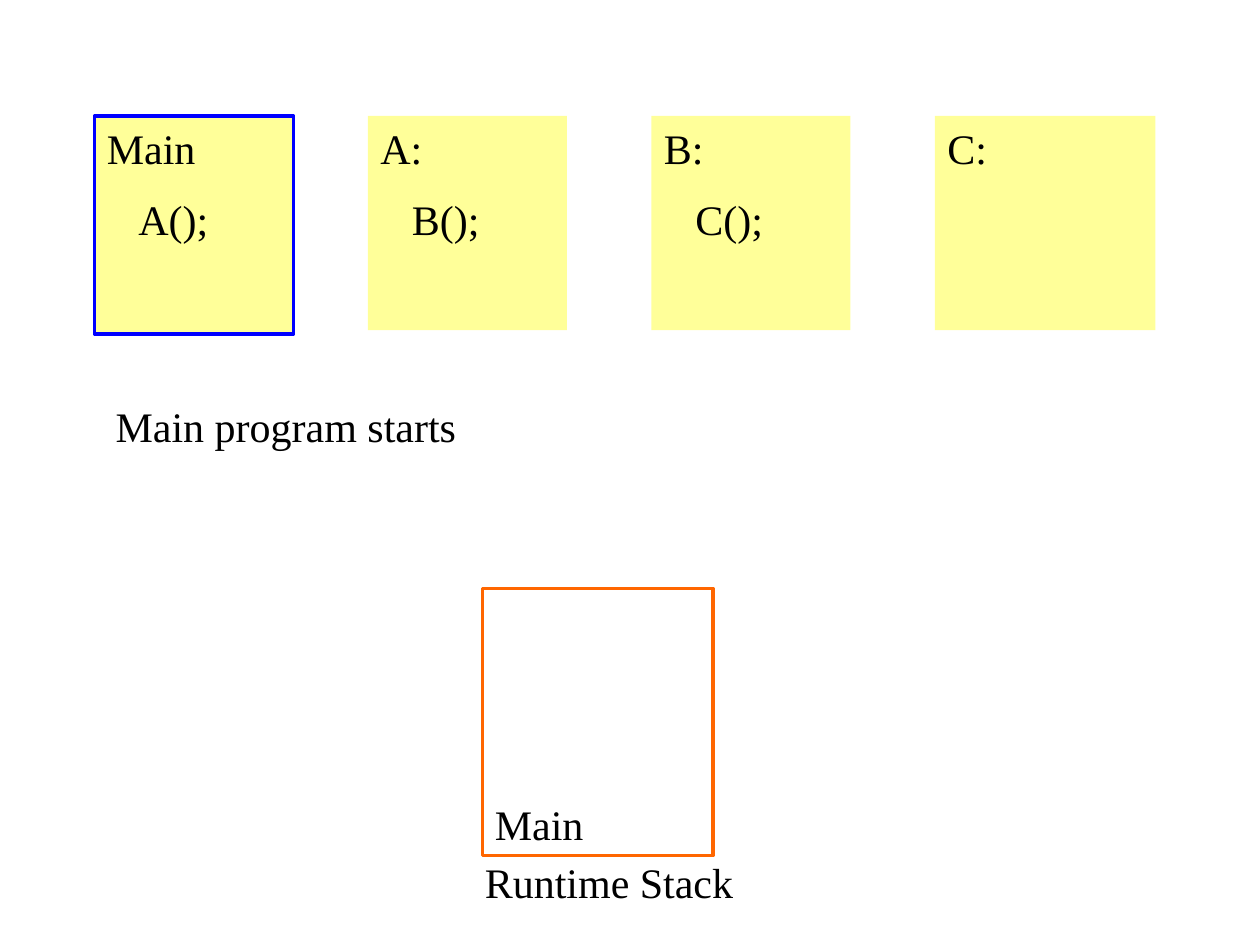
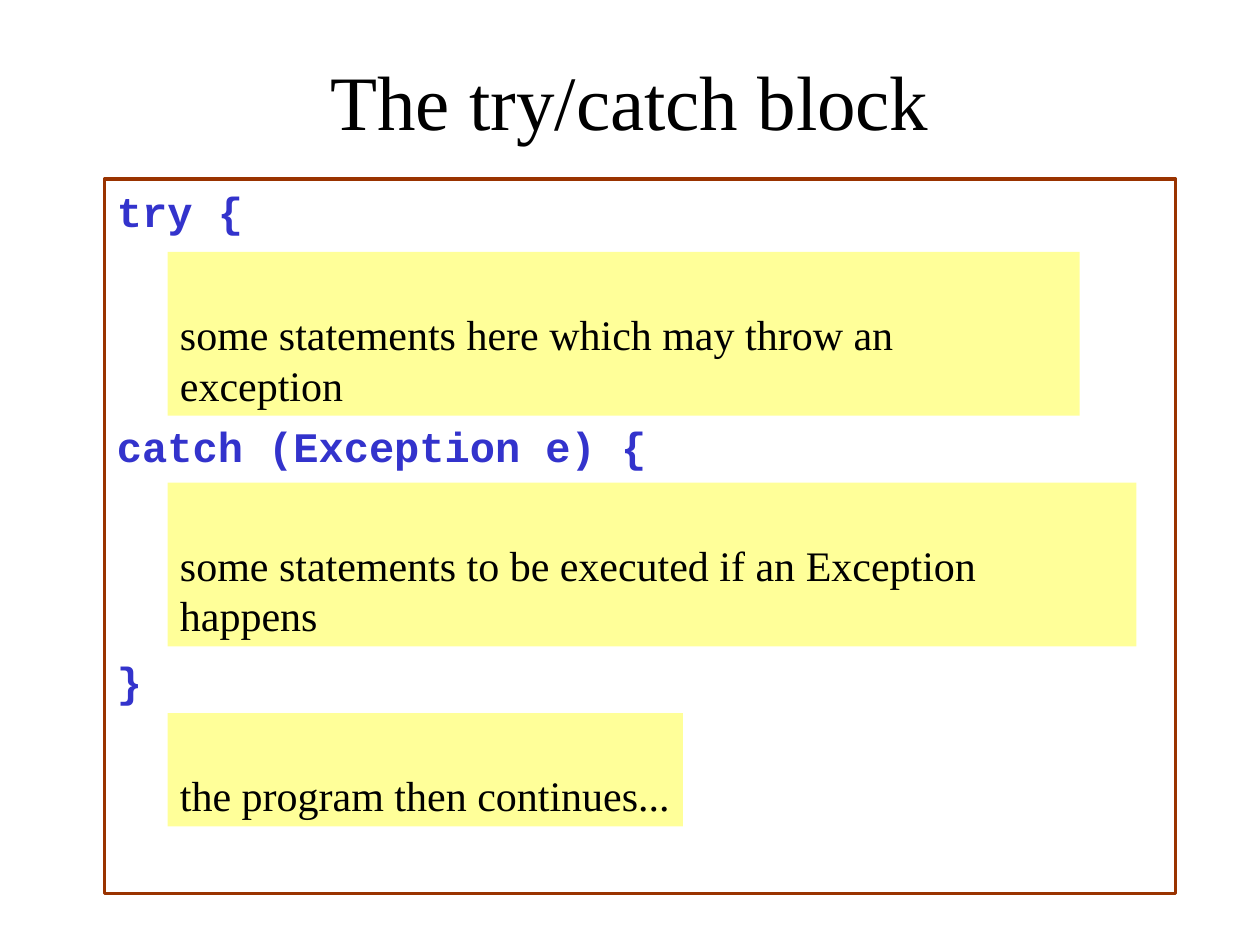
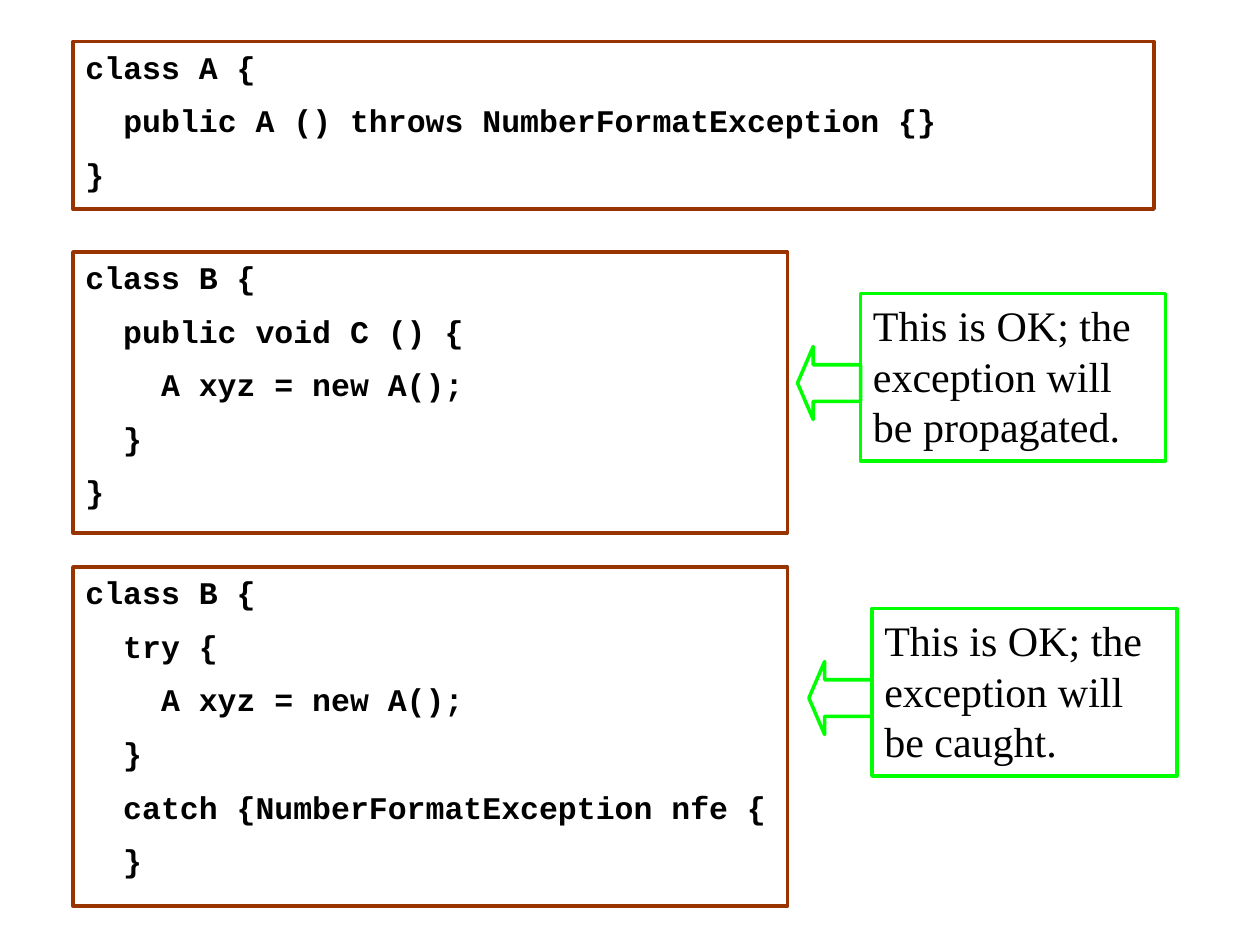
"""Build three slides on the runtime stack, try/catch and exception propagation."""
from pptx import Presentation
from pptx.dml.color import RGBColor
from pptx.enum.shapes import MSO_SHAPE as SHAPE
from pptx.enum.text import MSO_ANCHOR as ANCHOR, PP_ALIGN as ALIGN
from pptx.util import Inches, Pt

COLORS = {"text": "000000", "note": "FFFF99", "active": "0000FF", "stack": "FF6600",
          "code": "993300", "keyword": "3333CC", "callout": "00FF00"}
SERIF, MONO = "Times New Roman", "Courier New"

METHODS = [
    (["Main", (1, "A();")], 1.58, 1.73, "active"),
    (["A:", (1, "B();")], 1.58, 1.7, None),
    (["B:", (1, "C();")], 1.58, 1.7, None),
    (["C:"], 1.75, 1.7, None),
]
METHOD_LEFTS = [0.75, 2.92, 5.17, 7.42]

TRY_CATCH = ["try {", "catch (Exception e) {", "}"]
STATEMENTS = [
    ("some statements here which may throw an exception", 7.24, 1.3, 0.5),
    ("some statements to be executed if an Exception happens", 7.69, 1.3, 0.5),
    ("the program then continues...", 4.09, 0.9, 0.02),
]

CLASSES = [
    (0.33, 8.58, 1.33, ["class A {",
                        (1, "public A () throws NumberFormatException {}"),
                        "}"]),
    (2, 5.67, 2.23, ["class B {", (1, "public void C () {"),
                     (2, "A xyz = new A();"), (1, "}"), "}"]),
    (4.5, 5.67, 2.69, ["class B {", (1, "try {"), (2, "A xyz = new A();"), (1, "}"),
                       (1, "catch {NumberFormatException nfe {"), (1, "}")]),
]
CALLOUTS = [
    (6.33, 2.33, "This is OK; the exception will be propagated."),
    (6.42, 4.83, "This is OK; the exception will be caught."),
]


def rgb(name):
    return RGBColor.from_string(COLORS[name])


def write(tf, lines, size=24, font=SERIF, color="text", bold=False, align=ALIGN.LEFT,
          anchor=ANCHOR.TOP, gap=0, indent=0.25, wrap=True, right=0.1):
    """Fill a text frame; a line is a string or an (indent level, string) pair."""
    tf.word_wrap = wrap
    tf.vertical_anchor = anchor
    tf.margin_right = Inches(right)
    for i, line in enumerate(lines):
        level, text = line if isinstance(line, tuple) else (0, line)
        p = tf.paragraphs[0] if i == 0 else tf.add_paragraph()
        p.alignment = align
        p.space_before = Pt(gap if i else 0)
        if level:
            p._p.get_or_add_pPr().set("marL", str(Inches(level * indent)))
        r = p.add_run()
        r.text = text
        r.font.size, r.font.name, r.font.bold = Pt(size), font, bold
        r.font.color.rgb = rgb(color)


def box(shapes, at, lines=(), kind=SHAPE.RECTANGLE, fill=None, line=None, **fmt):
    """Add a preset shape with optional fill, outline and text."""
    sp = shapes.add_shape(kind, *map(Inches, at))
    sp.shadow.inherit = False
    if fill:
        sp.fill.solid()
        sp.fill.fore_color.rgb = rgb(fill)
    else:
        sp.fill.background()
    if line:
        sp.line.color.rgb = rgb(line)
        sp.line.width = Pt(2)
    else:
        sp.line.fill.background()
    write(sp.text_frame, lines, **fmt)
    return sp


def label(s, at, text):
    tb = s.shapes.add_textbox(*map(Inches, at))
    write(tb.text_frame, [text], wrap=False)


def stack_slide(prs):
    s = prs.slides.add_slide(prs.slide_layouts[6])
    for left, (lines, w, h, line) in zip(METHOD_LEFTS, METHODS):
        box(s.shapes, (left, 0.92, w, h), lines, fill="note", line=line, gap=12)
    label(s, (3.75, 6.75, 2.17, 0.5), "Runtime Stack")
    box(s.shapes, (3.83, 4.67, 1.83, 2.12), ["Main"], line="stack", anchor=ANCHOR.BOTTOM)
    label(s, (0.82, 3.13, 2.9, 0.5), "Main program starts")


def try_catch_slide(prs):
    s = prs.slides.add_slide(prs.slide_layouts[5])
    title = s.shapes.title
    title.left, title.top, title.width, title.height = map(Inches, (0.75, 0.42, 8.5, 0.75))
    write(title.text_frame, ["The try/catch block"], size=44, align=ALIGN.CENTER,
          anchor=ANCHOR.MIDDLE)
    box(s.shapes, (0.83, 1.42, 8.5, 5.67), TRY_CATCH, line="code", font=MONO,
        color="keyword", bold=True, gap=105.6)
    for i, (text, w, h, right) in enumerate(STATEMENTS):
        box(s.shapes, (1.33, 2 + i * 1.83, w, h), [text], fill="note",
            anchor=ANCHOR.BOTTOM, right=right)


def propagation_slide(prs):
    s = prs.slides.add_slide(prs.slide_layouts[6])
    for top, w, h, lines in CLASSES:
        box(s.shapes, (0.58, top, w, h), lines, line="code", size=18, font=MONO,
            bold=True, gap=9, indent=0.3, right=0.05)
    for left, top, text in CALLOUTS:
        shapes = s.shapes.add_group_shape().shapes
        box(shapes, (left + 0.5, top, 2.42, 1.33), [text], line="callout")
        arrow = box(shapes, (left, top + 0.42, 0.5, 0.58), kind=SHAPE.LEFT_ARROW,
                    line="callout")
        arrow.adjustments[0], arrow.adjustments[1] = 0.5, 0.25


def main():
    prs = Presentation()
    prs.slide_width, prs.slide_height = Inches(10), Inches(7.5)
    stack_slide(prs)
    try_catch_slide(prs)
    propagation_slide(prs)
    prs.save("out.pptx")


if __name__ == "__main__":
    main()
